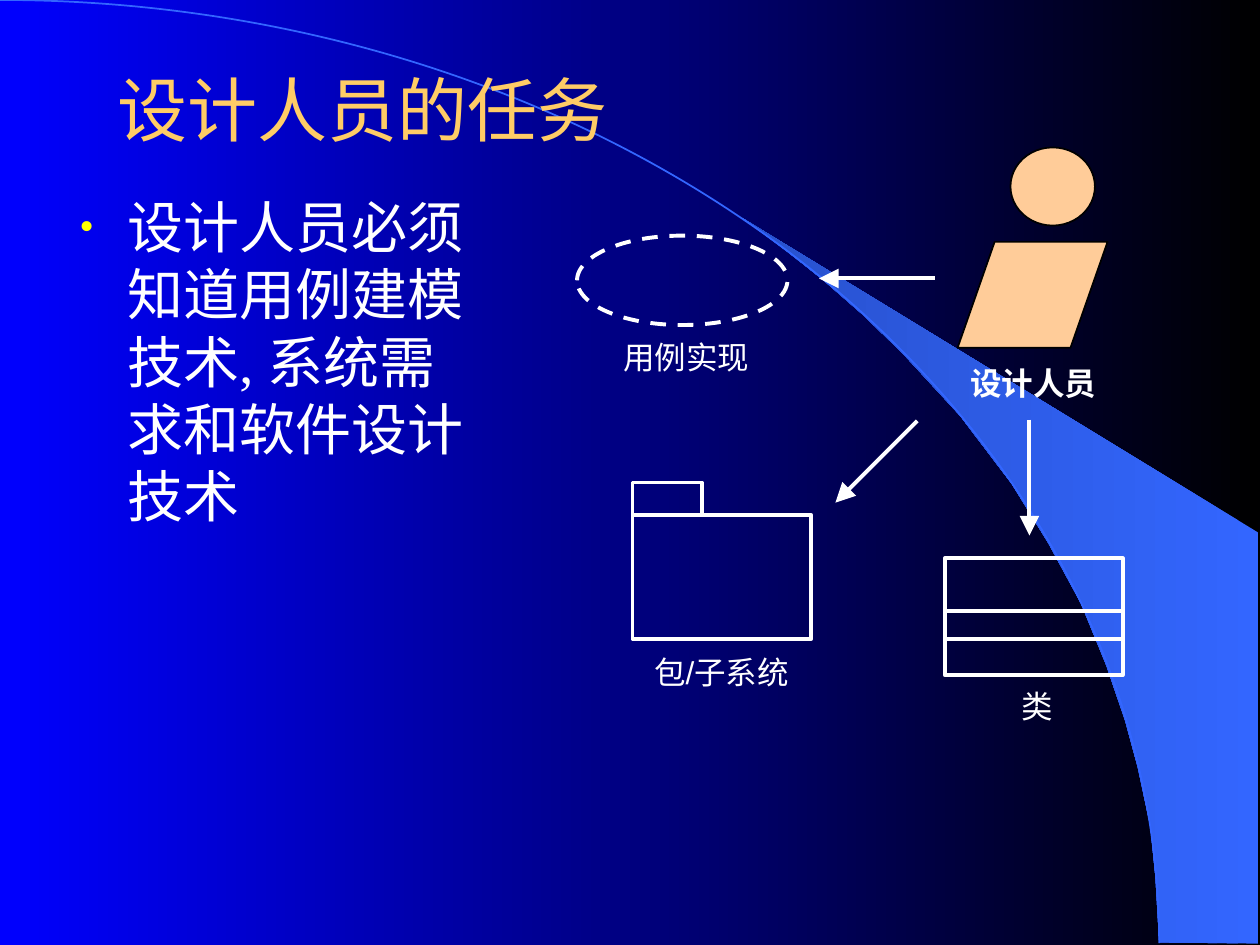
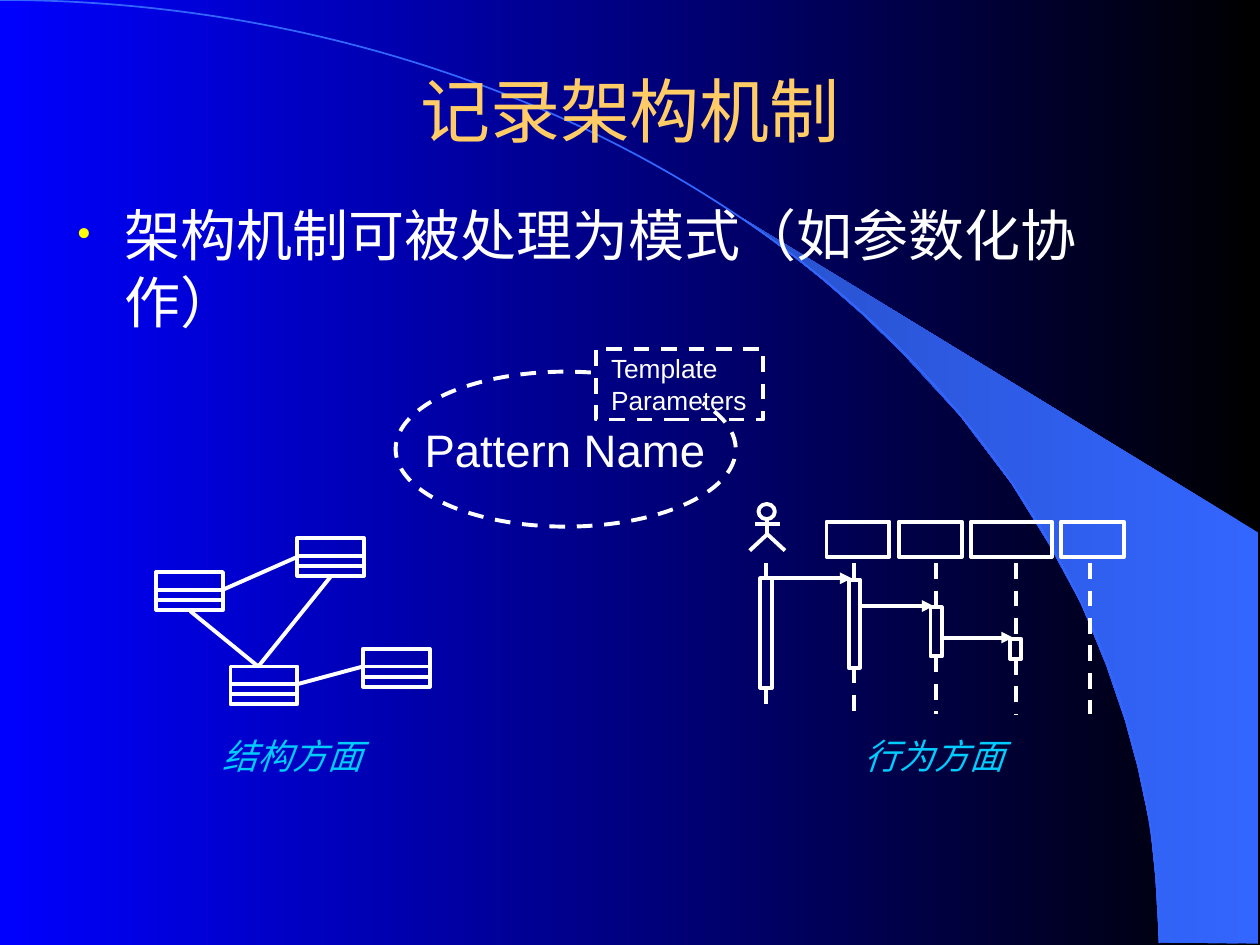
"""Build two slides on the designer's tasks and on documenting architectural mechanisms."""
from dataclasses import dataclass

from lxml import etree
from pptx import Presentation
from pptx import util as u
from pptx.dml.color import RGBColor
from pptx.enum import dml, shapes, text
from pptx.oxml import ns


@dataclass(frozen=True)
class Theme:
    black: str = "000000"
    blue: str = "0000FF"
    sweep: str = "3366FF"
    sweep_dark: str = "2851CC"
    title: str = "FFCC66"
    ink: str = "FFFFFF"
    bullet: str = "FFFF00"
    skin: str = "FFCC99"
    aspect: str = "00CCFF"
    sans: str = "Arial"
    serif: str = "Times New Roman"
    title_size: float = 40
    body_size: float = 32
    pattern_size: float = 26
    aspect_size: float = 20
    label_size: float = 18
    parameter_size: float = 15
    stroke: float = 2.25
    hairline: float = 1


THEME = Theme()
RECT = shapes.MSO_SHAPE.RECTANGLE
OVAL = shapes.MSO_SHAPE.OVAL
ARC = shapes.MSO_SHAPE.ARC
ARC_UNITS_PER_DEGREE = 0.6

WEDGE = [(9.2, 7.48), (9.99, 7.49), (9.99, 4.23), (5.89, 1.73), (6.24, 1.99),
         (6.53, 2.22), (6.85, 2.5), (7.16, 2.8), (7.62, 3.3), (8.03, 3.84),
         (8.32, 4.31), (8.58, 4.79), (8.78, 5.28), (8.93, 5.72), (9.03, 6.09),
         (9.13, 6.56), (9.17, 6.96)]
SWEEP = (-9.2, 0, 18.4, 14.97)

TASKS = {
    "title": ("设计人员的任务", (0.2, 0.6, 5.35, 0.52)),
    "body": ("设计人员必须知道用例建模技术, 系统需求和软件设计技术", (0.51, 1.47, 3.42, 5.52), 0.12),
    "designer": ("设计人员", (7.6, 2.84, 1.2, 0.4)),
    "labels": [("用例实现", (4.7, 2.63, 1.49, 0.4)),
               ("包/子系统", (5.03, 5.13, 1.39, 0.4)),
               ("类", (8.01, 5.4, 0.45, 0.4))],
    "head": (8.02, 1.17, 0.67, 0.62),
    "torso": (7.6, 1.92, 1.19, 0.84),
    "use_case": (4.58, 1.87, 1.67, 0.71),
    "package": [(5.02, 4.09, 1.42, 0.98), (5.02, 3.83, 0.55, 0.26)],
    "class": ((7.5, 4.43, 1.41, 0.93), (0.42, 0.64)),
    "arrows": [((7.42, 2.21), (6.5, 2.21)),
               ((7.28, 3.34), (6.63, 3.99)),
               ((8.17, 3.33), (8.17, 4.25))],
}

MECHANISMS = {
    "title": ("记录架构机制", (0.75, 0.67, 8.5, 0.39)),
    "body": ("架构机制可被处理为模式（如参数化协作）", (0.51, 1.54, 8.76, 4.58), 0.1),
    "aspects": [("结构方面", (1.16, 5.78, 2.33, 0.44)),
                ("行为方面", (6.08, 5.78, 2.68, 0.44))],
    "pattern": ("Pattern Name", (3.27, 3.3, 2.43, 0.54)),
    "pattern_outline": (3.14, 2.95, 2.7, 1.23),
    "pattern_angles": (251.8, 198.5),
    "parameters": ("Template\vParameters", (4.73, 2.74, 1.73, 0.62)),
    "parameter_frame": (4.73, 2.77, 1.33, 0.56),
    "classes": [(1.24, 4.54), (2.36, 4.27), (1.83, 5.29), (2.88, 5.15)],
    "class_size": (0.53, 0.3),
    "class_dividers": (0.14, 0.22),
    "associations": [((2.05, 5.29), (1.51, 4.85)),
                     ((1.77, 4.68), (2.36, 4.42)),
                     ((2.36, 5.43), (2.88, 5.29)),
                     ((2.05, 5.29), (2.63, 4.57))],
    "actor_head": (6.02, 4, 0.13, 0.12),
    "actor_limbs": [((6.09, 4.12), (6.09, 4.24)), ((5.99, 4.16), (6.19, 4.16))],
    "actor_legs": [(5.95, 4.37), (6.09, 4.24), (6.23, 4.37)],
    "object_widths": (0.5, 0.5, 0.64, 0.5),
    "activations": [(6.08, 4.59, 5.46), (6.78, 4.6, 5.3), (7.43, 4.82, 5.21), (8.06, 5.07, 5.23)],
    "idle_lifeline": 8.65,
}
OBJECT_LEFT, OBJECT_RIGHT, OBJECT_TOP, OBJECT_HEIGHT = 6.56, 8.92, 4.14, 0.28
LIFE_TOP, LIFE_BOTTOM, BAR_WIDTH = 4.47, 5.67, 0.09


def rgb(code):
    return RGBColor.from_string(code)


def inches(values):
    return [u.Inches(value) for value in values]


def fill_gradient(fill, right, left):
    fill.gradient()
    fill.gradient_angle = 180
    for stop, code in zip(fill.gradient_stops, (right, left)):
        stop.color.rgb = rgb(code)


def stroke(line, color=THEME.ink, width=THEME.stroke, dashed=False):
    line.color.rgb = rgb(color)
    line.width = u.Pt(width)
    if dashed:
        line.dash_style = dml.MSO_LINE.DASH


def add_figure(slide, kind, box, fill=None, dashed=False):
    figure = slide.shapes.add_shape(kind, *inches(box))
    figure.shadow.inherit = False
    if fill:
        figure.fill.solid()
        figure.fill.fore_color.rgb = rgb(fill)
        stroke(figure.line, THEME.black, THEME.hairline)
    else:
        figure.fill.background()
        stroke(figure.line, dashed=dashed)
    return figure


def add_outline(slide, points, closed=False):
    start, *rest = [inches(point) for point in points]
    builder = slide.shapes.build_freeform(*start)
    builder.add_line_segments(rest, close=closed)
    outline = builder.convert_to_shape()
    outline.shadow.inherit = False
    outline.fill.background()
    return outline


def add_line(slide, begin, end, dashed=False, arrow=None):
    line = slide.shapes.add_connector(shapes.MSO_CONNECTOR.STRAIGHT, *inches(begin + end))
    stroke(line.line, dashed=dashed)
    if arrow:
        etree.SubElement(line.line._get_or_add_ln(), ns.qn("a:tailEnd"),
                         type="triangle", w=arrow, len=arrow)
    etree.SubElement(line._element.spPr, ns.qn("a:effectLst"))


def add_text(slide, words, box, size=THEME.label_size, color=THEME.ink, font=THEME.sans,
             bold=False, italic=False, centered=True, wrap=False, inset=0.1):
    frame = slide.shapes.add_textbox(*inches(box)).text_frame
    frame.word_wrap = wrap
    frame.margin_left = frame.margin_right = u.Inches(inset)
    frame.margin_top = frame.margin_bottom = u.Inches(inset / 2)
    frame.text = words
    paragraph = frame.paragraphs[0]
    paragraph.alignment = text.PP_ALIGN.CENTER if centered else text.PP_ALIGN.LEFT
    for run in paragraph.runs:
        run.font.size, run.font.name = u.Pt(size), font
        run.font.bold, run.font.italic = bold, italic
        run.font.color.rgb = rgb(color)
    return frame


def add_bullet(paragraph):
    properties = paragraph._p.get_or_add_pPr()
    properties.set("marL", str(u.Inches(0.38)))
    properties.set("indent", str(-u.Inches(0.38)))
    tint = etree.SubElement(properties, ns.qn("a:buClr"))
    etree.SubElement(tint, ns.qn("a:srgbClr"), val=THEME.bullet)
    etree.SubElement(properties, ns.qn("a:buSzPct"), val="75000")
    etree.SubElement(properties, ns.qn("a:buFont"), typeface=THEME.serif)
    etree.SubElement(properties, ns.qn("a:buChar"), char="•")


def add_class(slide, box, dividers):
    left, top, width, _ = box
    add_figure(slide, RECT, box)
    for offset in dividers:
        add_line(slide, (left, top + offset), (left + width, top + offset))


def start_slide(deck, content):
    slide = deck.slides.add_slide(deck.slide_layouts[6])
    fill_gradient(slide.background.fill, THEME.black, THEME.blue)
    wedge = add_outline(slide, WEDGE, closed=True)
    fill_gradient(wedge.fill, THEME.sweep, THEME.sweep_dark)
    wedge.line.fill.background()
    stroke(add_figure(slide, ARC, SWEEP).line, THEME.sweep, THEME.hairline)
    title = add_text(slide, *content["title"], size=THEME.title_size, color=THEME.title, wrap=True)
    title.vertical_anchor = text.MSO_ANCHOR.MIDDLE
    words, box, inset = content["body"]
    body = add_text(slide, words, box, size=THEME.body_size, font=THEME.serif,
                    centered=False, wrap=True, inset=inset)
    add_bullet(body.paragraphs[0])
    return slide


def build_tasks(deck):
    slide = start_slide(deck, TASKS)
    add_figure(slide, OVAL, TASKS["head"], THEME.skin)
    torso = add_figure(slide, shapes.MSO_SHAPE.PARALLELOGRAM, TASKS["torso"], THEME.skin)
    torso.adjustments[0] = 0.35
    add_text(slide, *TASKS["designer"], bold=True)
    add_figure(slide, OVAL, TASKS["use_case"], dashed=True)
    for box in TASKS["package"]:
        add_figure(slide, RECT, box)
    add_class(slide, *TASKS["class"])
    for words, box in TASKS["labels"]:
        add_text(slide, words, box)
    for begin, end in TASKS["arrows"]:
        add_line(slide, begin, end, arrow="lg")


def draw_structure(slide):
    for corner in MECHANISMS["classes"]:
        add_class(slide, corner + MECHANISMS["class_size"], MECHANISMS["class_dividers"])
    for begin, end in MECHANISMS["associations"]:
        add_line(slide, begin, end)


def draw_pattern(slide):
    outline = add_figure(slide, ARC, MECHANISMS["pattern_outline"], dashed=True)
    for index, angle in enumerate(MECHANISMS["pattern_angles"]):
        outline.adjustments[index] = angle * ARC_UNITS_PER_DEGREE
    outline._element.spPr.xfrm.set("flipH", "1")
    add_text(slide, *MECHANISMS["pattern"], size=THEME.pattern_size)
    add_figure(slide, RECT, MECHANISMS["parameter_frame"], dashed=True)
    add_text(slide, *MECHANISMS["parameters"], size=THEME.parameter_size,
             centered=False, wrap=True, inset=0.12)


def draw_behavior(slide):
    add_figure(slide, OVAL, MECHANISMS["actor_head"])
    for begin, end in MECHANISMS["actor_limbs"]:
        add_line(slide, begin, end)
    stroke(add_outline(slide, MECHANISMS["actor_legs"]).line)
    widths = MECHANISMS["object_widths"]
    gap = (OBJECT_RIGHT - OBJECT_LEFT - sum(widths)) / (len(widths) - 1)
    left = OBJECT_LEFT
    for width in widths:
        add_figure(slide, RECT, (left, OBJECT_TOP, width, OBJECT_HEIGHT))
        left += width + gap
    activations = MECHANISMS["activations"]
    for x, top, bottom in activations:
        add_line(slide, (x, LIFE_TOP), (x, top), dashed=True)
        add_figure(slide, RECT, (x - BAR_WIDTH / 2, top, BAR_WIDTH, bottom - top))
        add_line(slide, (x, bottom), (x, LIFE_BOTTOM), dashed=True)
    idle = MECHANISMS["idle_lifeline"]
    add_line(slide, (idle, LIFE_TOP), (idle, LIFE_BOTTOM), dashed=True)
    for (sender, _, _), (receiver, top, _) in zip(activations, activations[1:]):
        add_line(slide, (sender + BAR_WIDTH / 2, top - 0.01), (receiver - 0.02, top - 0.01), arrow="med")


def build_mechanisms(deck):
    slide = start_slide(deck, MECHANISMS)
    draw_structure(slide)
    draw_pattern(slide)
    draw_behavior(slide)
    for words, box in MECHANISMS["aspects"]:
        add_text(slide, words, box, size=THEME.aspect_size, color=THEME.aspect, italic=True)


def main():
    deck = Presentation()
    deck.slide_width, deck.slide_height = u.Inches(10), u.Inches(7.5)
    build_tasks(deck)
    build_mechanisms(deck)
    deck.save("out.pptx")


if __name__ == "__main__":
    main()
